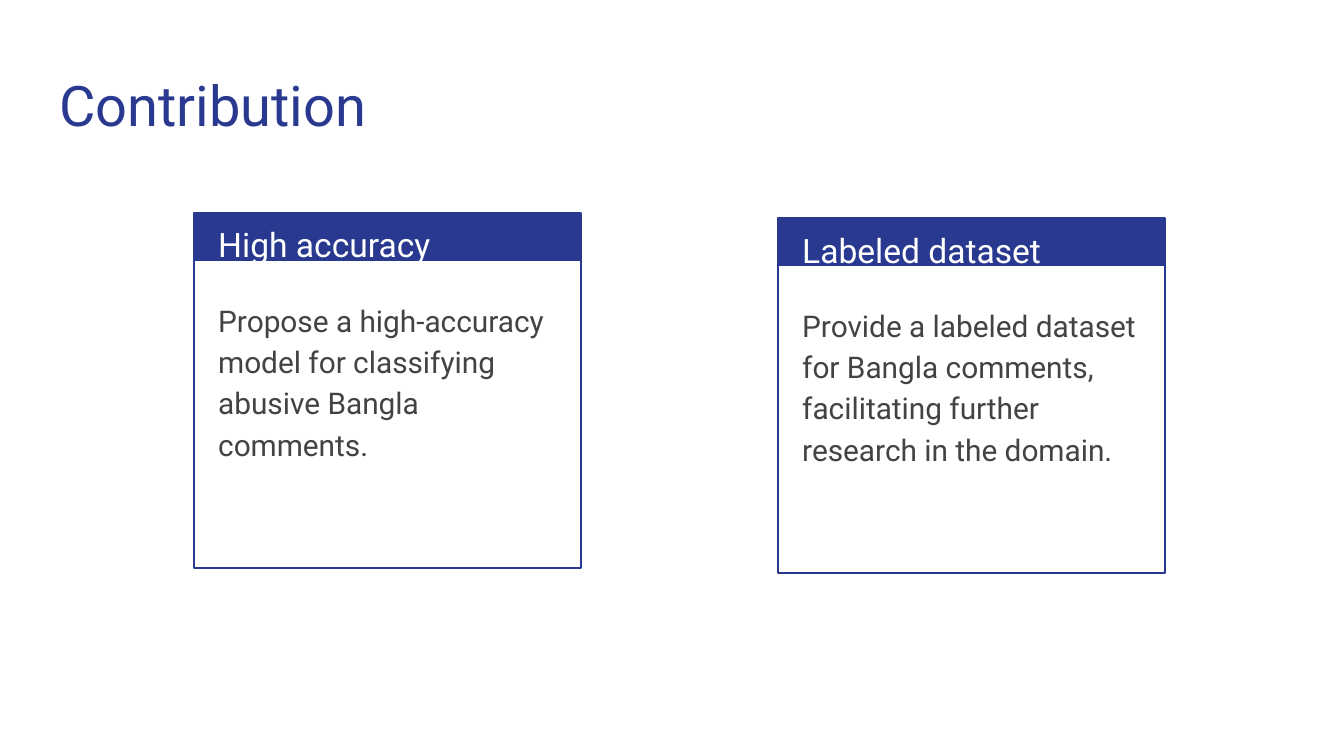
from pptx import Presentation
from pptx.dml.color import RGBColor
from pptx.enum.shapes import MSO_SHAPE
from pptx.enum.text import MSO_ANCHOR
from pptx.util import Pt

TITLE = "Contribution"
CARDS = [
    (194, 213, "High accuracy",
     "Propose a high-accuracy model for classifying abusive Bangla comments."),
    (778, 218, "Labeled dataset",
     "Provide a labeled dataset for Bangla comments, facilitating further research in the domain."),
]
FONT = "Roboto"
NAVY = RGBColor(0x2A, 0x39, 0x90)
WHITE = RGBColor(0xFF, 0xFF, 0xFF)
GRAY = RGBColor(0x43, 0x43, 0x43)
CARD_W, CARD_H, HEADER_H = 387, 355, 48
TEXT_DX, LABEL_DY, BODY_DY = 11, -8, 71
TEXT_W, LABEL_H, BODY_H = 366, 67, 181
INSET = 13.44


def px(n):
    return round(n * 914400 / 134.4)


def add_text(s, box, text, size, color, spacing=1.0, anchor=MSO_ANCHOR.TOP):
    tf = s.shapes.add_textbox(*map(px, box)).text_frame
    tf.word_wrap = True
    tf.vertical_anchor = anchor
    tf.margin_left = tf.margin_right = tf.margin_top = tf.margin_bottom = px(INSET)
    p = tf.paragraphs[0]
    p.line_spacing = spacing
    r = p.add_run()
    r.text = text
    r.font.name, r.font.size = FONT, Pt(size)
    r.font.color.rgb = color


def add_rect(group, box):
    sp = group.shapes.add_shape(MSO_SHAPE.RECTANGLE, *map(px, box))
    sp.shadow.inherit = False
    return sp


def add_card(s, x, y, label, body):
    group = s.shapes.add_group_shape()
    header = add_rect(group, (x, y, CARD_W, HEADER_H))
    header.fill.solid()
    header.fill.fore_color.rgb = NAVY
    header.line.fill.background()
    frame = add_rect(group, (x, y, CARD_W, CARD_H))
    frame.fill.background()
    frame.line.color.rgb = NAVY
    frame.line.width = Pt(0.75)
    left = x + TEXT_DX
    add_text(s, (left, y + LABEL_DY, TEXT_W, LABEL_H), label, 18, WHITE, 1.15)
    add_text(s, (left, y + BODY_DY, TEXT_W, BODY_H), body, 16, GRAY, 1.15)


def main():
    """Build the contribution slide with its title and two cards."""
    prs = Presentation()
    prs.slide_width, prs.slide_height = px(1344), px(756)
    s = prs.slides.add_slide(prs.slide_layouts[6])
    add_text(s, (46, 60, 1252, 89), TITLE, 30, NAVY, anchor=MSO_ANCHOR.MIDDLE)
    for card in CARDS:
        add_card(s, *card)
    prs.save("out.pptx")


if __name__ == "__main__":
    main()
